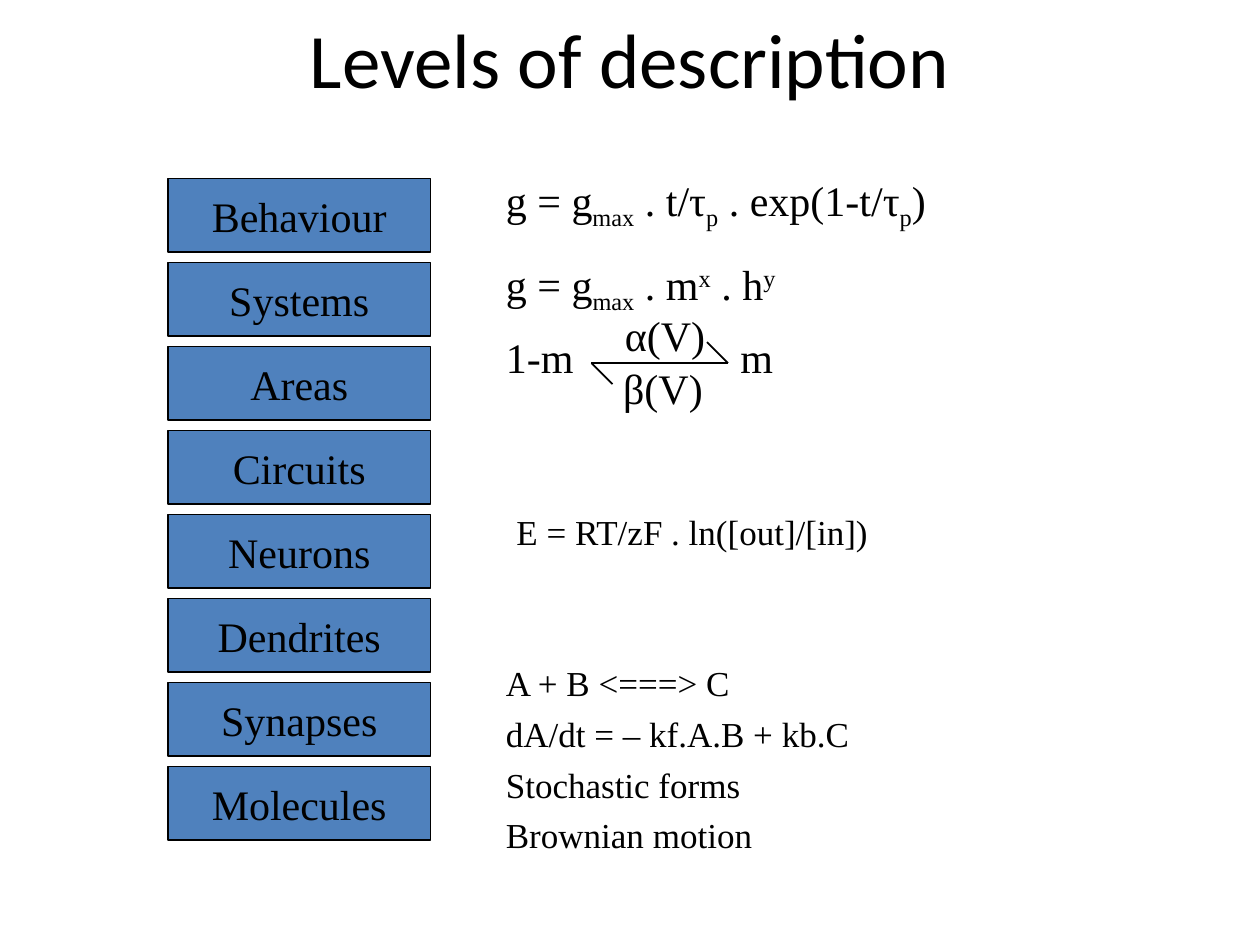
"""Build the "Levels of description" slide."""
from dataclasses import dataclass
from typing import Any

import pptx
import pptx.dml.color
import pptx.enum.shapes
import pptx.enum.text
import pptx.oxml
import pptx.oxml.ns
import pptx.util

Pt = pptx.util.Pt
BLACK = "000000"
SERIF = "Times New Roman"
SUBSCRIPT = -25000
SUPERSCRIPT = 30000


@dataclass(frozen=True)
class Run:
    text: str
    baseline: int = 0


@dataclass(frozen=True)
class Label:
    left: float
    top: float
    width: float
    height: float
    paragraphs: list[list[Run]]
    size: float = 24
    wrap: bool = False


@dataclass(frozen=True)
class Line:
    start: tuple[float, float]
    end: tuple[float, float]


LEVELS = ["Behaviour", "Systems", "Areas", "Circuits",
          "Neurons", "Dendrites", "Synapses", "Molecules"]
LEVEL_LEFT, LEVEL_TOP, LEVEL_WIDTH, LEVEL_HEIGHT, LEVEL_PITCH = 96, 102, 150, 42, 48

KINETICS = ["A + B <===> C", "dA/dt = – kf.A.B + kb.C", "Stochastic forms", "Brownian motion"]

EQUATIONS = [
    Label(282, 374.5, 252, 107, [[Run(text)] for text in KINETICS], 20, True),
    Label(288, 288, 217, 29, [[Run("E = RT/zF . ln([out]/[in])")]], 20),
    Label(282, 144, 176, 33, [[
        Run("g = g"), Run("max", SUBSCRIPT), Run(" . m"), Run("x", SUPERSCRIPT),
        Run(" . h"), Run("y", SUPERSCRIPT)]]),
    Label(282, 96, 283, 33, [[
        Run("g = g"), Run("max", SUBSCRIPT), Run(" . t/τ"), Run("p", SUBSCRIPT),
        Run(" . exp(1-t/τ"), Run("p", SUBSCRIPT), Run(")")]], wrap=True),
]

REACTION_LINES = [
    Line((350, 219.5), (338, 207.5)),
    Line((338, 207.5), (416, 207.5)),
    Line((416, 207.5), (404, 195.5)),
]
REACTION_LABELS = [
    Label(350, 173.5, 61, 33, [[Run("α(V)")]]),
    Label(349, 203.5, 60.5, 33, [[Run("β(V)")]]),
    Label(282, 186, 53, 33, [[Run("1-m")]]),
    Label(416, 186, 33, 33, [[Run("m")]]),
]


def color(value: str) -> pptx.dml.color.RGBColor:
    """Turn a hex string into a colour."""
    return pptx.dml.color.RGBColor.from_string(value)


def add_run(paragraph: Any, content: Run, size: float, font_name: str = SERIF) -> None:
    """Append one formatted run to a paragraph."""
    run = paragraph.add_run()
    run.text = content.text
    run.font.size = Pt(size)
    run.font.name = font_name
    run.font.color.rgb = color(BLACK)
    if content.baseline:
        run.font._element.set("baseline", str(content.baseline))


def add_label(shapes: Any, label: Label) -> None:
    """Draw a text box with its paragraphs."""
    box = shapes.add_textbox(Pt(label.left), Pt(label.top), Pt(label.width), Pt(label.height))
    frame = box.text_frame
    frame.word_wrap = label.wrap
    frame.auto_size = pptx.enum.text.MSO_AUTO_SIZE.SHAPE_TO_FIT_TEXT
    for index, runs in enumerate(label.paragraphs):
        paragraph = frame.add_paragraph() if index else frame.paragraphs[0]
        if index:
            paragraph.space_before = Pt(5)
        for content in runs:
            add_run(paragraph, content, label.size)


def add_line(shapes: Any, line: Line) -> None:
    """Draw a thin straight line without a shadow."""
    connector = shapes.add_connector(
        pptx.enum.shapes.MSO_CONNECTOR.STRAIGHT,
        *(Pt(value) for value in line.start + line.end))
    connector.line.color.rgb = color(BLACK)
    connector.line.width = Pt(1)
    properties = connector._element.spPr
    properties.append(pptx.oxml.parse_xml(
        f"<a:effectLst {pptx.oxml.ns.nsdecls('a')}/>"))


def add_level(shapes: Any, index: int, name: str) -> None:
    """Draw one box in the column of levels."""
    shape = shapes.add_shape(
        pptx.enum.shapes.MSO_SHAPE.RECTANGLE, Pt(LEVEL_LEFT),
        Pt(LEVEL_TOP + index * LEVEL_PITCH), Pt(LEVEL_WIDTH), Pt(LEVEL_HEIGHT))
    shape.shadow.inherit = False
    shape.fill.solid()
    shape.fill.fore_color.rgb = color("4F81BD")
    shape.line.color.rgb = color(BLACK)
    shape.line.width = Pt(0.75)
    frame = shape.text_frame
    frame.word_wrap = False
    frame.vertical_anchor = pptx.enum.text.MSO_ANCHOR.MIDDLE
    frame.paragraphs[0].alignment = pptx.enum.text.PP_ALIGN.CENTER
    add_run(frame.paragraphs[0], Run(name), 24)


def add_title(slide: Any, text: str) -> None:
    """Place and fill the title placeholder."""
    title = slide.shapes.title
    title.left, title.top, title.width, title.height = Pt(54), Pt(6), Pt(612), Pt(54)
    title.text_frame.vertical_anchor = pptx.enum.text.MSO_ANCHOR.MIDDLE
    paragraph = title.text_frame.paragraphs[0]
    paragraph.alignment = pptx.enum.text.PP_ALIGN.CENTER
    add_run(paragraph, Run(text), 44, "Calibri")


def main() -> None:
    """Build and save the presentation."""
    presentation = pptx.Presentation()
    presentation.slide_width, presentation.slide_height = Pt(720), Pt(540)
    slide = presentation.slides.add_slide(presentation.slide_layouts[5])
    add_title(slide, "Levels of description")
    for index, name in enumerate(LEVELS):
        add_level(slide.shapes, index, name)
    for label in EQUATIONS:
        add_label(slide.shapes, label)
    reaction = slide.shapes.add_group_shape()
    for line in REACTION_LINES:
        add_line(reaction.shapes, line)
    for label in REACTION_LABELS:
        add_label(reaction.shapes, label)
    presentation.save("out.pptx")


if __name__ == "__main__":
    main()
